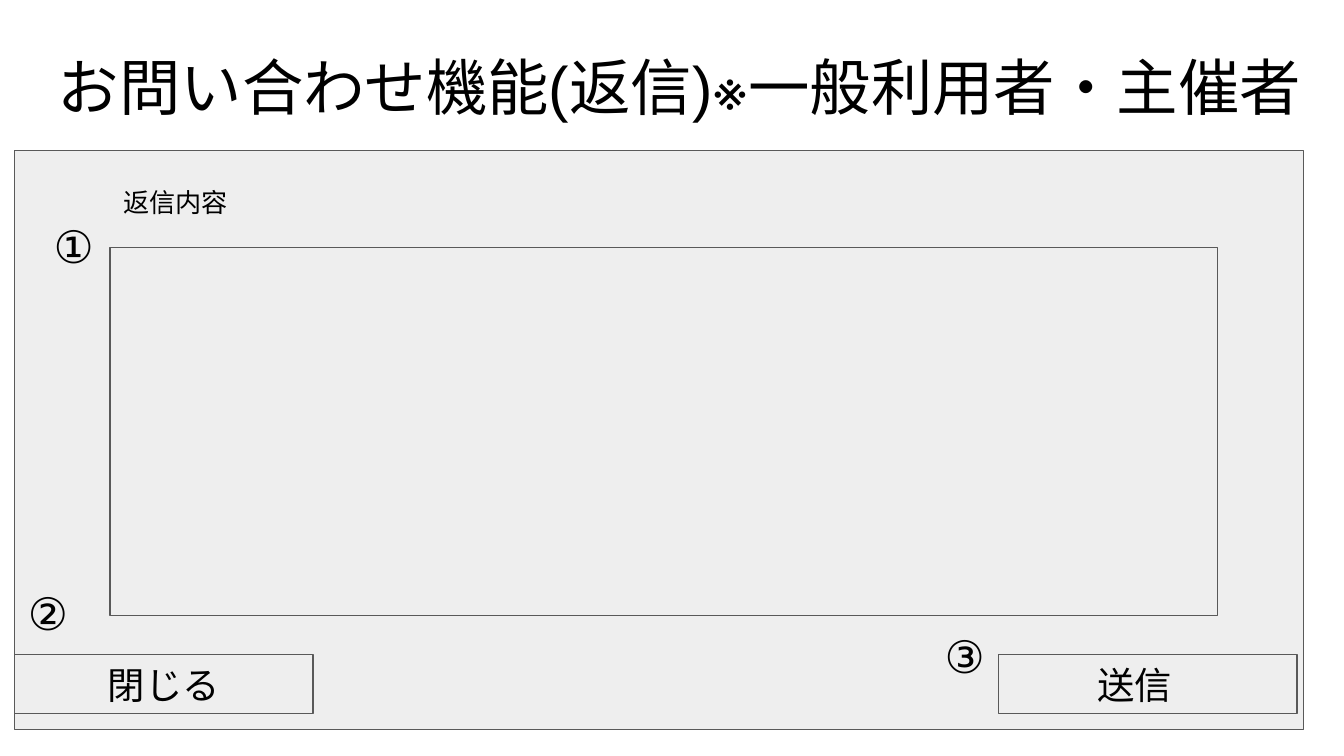
"""Build the inquiry reply screen mock-up slide."""
from lxml import etree
from pptx import Presentation
from pptx.dml.color import RGBColor
from pptx.enum.shapes import MSO_SHAPE
from pptx.enum.text import MSO_ANCHOR, PP_ALIGN
from pptx.oxml.ns import qn
from pptx.util import Inches, Pt

RECTANGLE = MSO_SHAPE.RECTANGLE
TOP, MIDDLE, BOTTOM = MSO_ANCHOR.TOP, MSO_ANCHOR.MIDDLE, MSO_ANCHOR.BOTTOM
LEFT, CENTER = PP_ALIGN.LEFT, PP_ALIGN.CENTER

FONT = "Arial"
COLORS = {"panel": "EEEEEE", "border": "595959", "text": "000000"}
MARGIN = 0.11
BUTTON_TOP, BUTTON_WIDTH, BUTTON_HEIGHT = 4.87, 2.22, 0.44


def color(name):
    """Look up a named colour."""
    return RGBColor.from_string(COLORS[name])


def write(box, text, size, align=LEFT, anchor=TOP):
    """Put one paragraph into a box and return it."""
    frame = box.text_frame
    frame.word_wrap = True
    frame.vertical_anchor = anchor
    frame.margin_left = frame.margin_right = Inches(0.1)
    frame.margin_top = frame.margin_bottom = Inches(0.1)
    para = frame.paragraphs[0]
    para.add_run().text = text
    para.alignment = align
    para.font.name = FONT
    para.font.size = Pt(size)
    para.font.color.rgb = color("text")
    defaults = para._p.pPr.find(qn("a:defRPr"))
    etree.SubElement(defaults, qn("a:ea"), typeface=FONT)
    return para


def add_label(page, text, place, size, align=LEFT, anchor=TOP):
    """Add a text box at a place given in inches."""
    box = page.shapes.add_textbox(*map(Inches, place))
    write(box, text, size, align, anchor)


def add_panel(page, place):
    """Add a bordered grey rectangle and return it."""
    panel = page.shapes.add_shape(RECTANGLE, *map(Inches, place))
    panel.shadow.inherit = False
    panel.fill.solid()
    panel.fill.fore_color.rgb = color("panel")
    panel.line.color.rgb = color("border")
    panel.line.width = Pt(0.75)
    return panel


def add_button(page, text, left):
    """Add a button and return its paragraph."""
    button = add_panel(page, (left, BUTTON_TOP, BUTTON_WIDTH, BUTTON_HEIGHT))
    return write(button, text, 20, CENTER, MIDDLE)


def main():
    """Build and save the slide."""
    deck = Presentation()
    deck.slide_width = Inches(10)
    deck.slide_height = Inches(10) * 9 // 16
    page = deck.slides.add_slide(deck.slide_layouts[6])

    add_panel(page, (MARGIN, 1.12, 9.59, 4.31))
    add_label(page, "お問い合わせ機能(返信)※一般利用者・主催者",
              (MARGIN, 0.14, 9.89, 0.87), 32.9, CENTER, BOTTOM)
    add_panel(page, (0.82, 1.84, 8.24, 2.74))
    add_label(page, "返信内容", (0.82, 1.29, 3.78, 0.24), 14)

    send = add_button(page, "送信", 7.43)
    space = send.add_run()
    space.text = "　"
    space.font.size = Pt(14)
    add_button(page, "閉じる", MARGIN)

    for mark, left, top, width in (
        ("①", 0.3, 1.53, 0.41),
        ("②", MARGIN, 4.26, 0.49),
        ("③", 6.93, 4.58, 0.49),
    ):
        add_label(page, mark, (left, top, width, 0.61), 24)

    deck.save("out.pptx")


if __name__ == "__main__":
    main()
